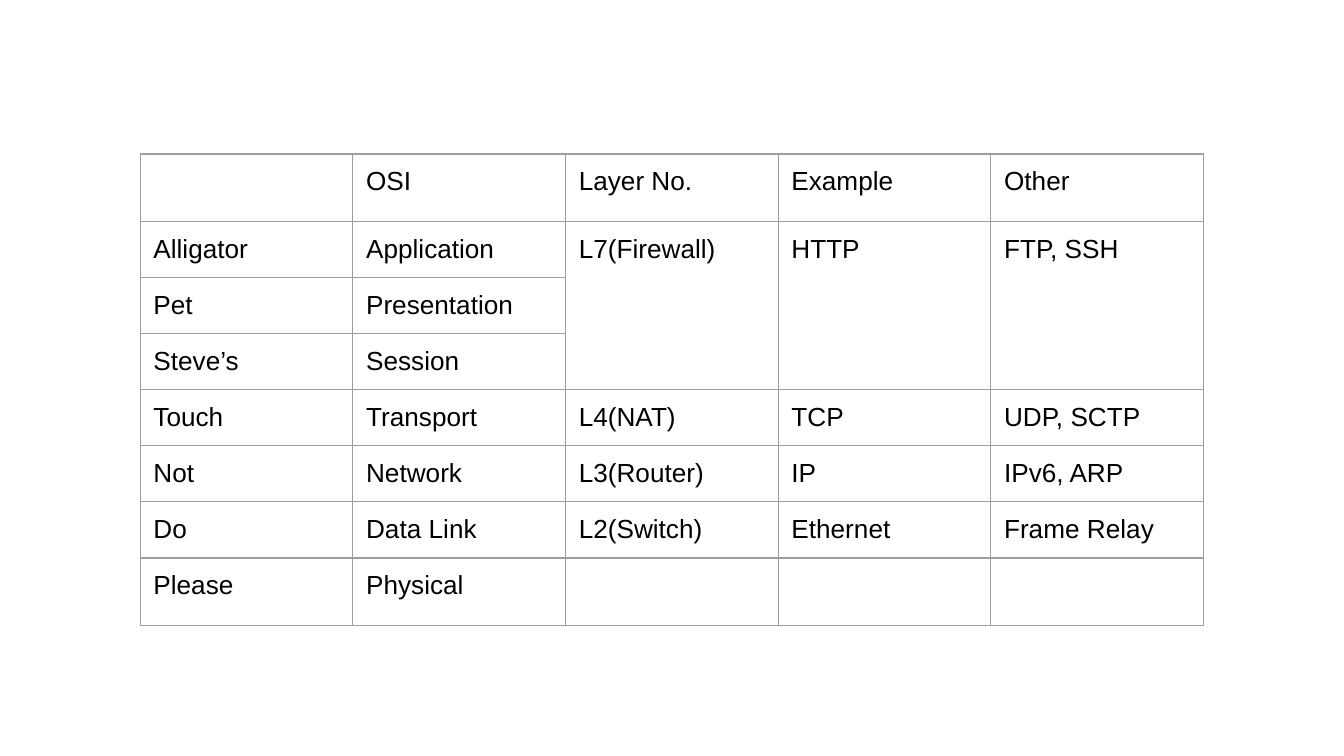
"""Build a slide with a table of the OSI layers and their protocols."""
from lxml import etree
from pptx import Presentation
from pptx.dml.color import RGBColor
from pptx.oxml import ns
from pptx.util import Cm, Pt

COLOURS = {"text": "000000", "border": "9E9E9E"}
ROWS = [
    ("", "OSI", "Layer No.", "Example", "Other"),
    ("Alligator", "Application", "L7(Firewall)", "HTTP", "FTP, SSH"),
    ("Pet", "Presentation", "", "", ""),
    ("Steve’s", "Session", "", "", ""),
    ("Touch", "Transport", "L4(NAT)", "TCP", "UDP, SCTP"),
    ("Not", "Network", "L3(Router)", "IP", "IPv6, ARP"),
    ("Do", "Data Link", "L2(Switch)", "Ethernet", "Frame Relay"),
    ("Please", "Physical", "", "", ""),
]
MERGED_ROWS = (1, 3)
MERGED_COLUMNS = (2, 3, 4)
LEFT, TOP = Cm(2.65), Cm(2.91)
COLUMN_WIDTH = Cm(4.02)
ROW_HEIGHT, OUTER_ROW_HEIGHT = Cm(1.06), Cm(1.21)
INSET = Cm(0.25)


def write(cell, text, font="Arial", size=14, colour="text"):
    if text:
        span = cell.text_frame.paragraphs[0].add_run()
        span.text = text
        span.font.name = font
        span.font.size = Pt(size)
        span.font.color.rgb = RGBColor.from_string(COLOURS[colour])


def draw_borders(cell, width=0.75, colour="border"):
    properties = cell._tc.get_or_add_tcPr()
    for index, side in enumerate(("lnL", "lnR", "lnT", "lnB")):
        line = etree.Element(ns.qn(f"a:{side}"), w=str(Pt(width)))
        fill = etree.SubElement(line, ns.qn("a:solidFill"))
        etree.SubElement(fill, ns.qn("a:srgbClr"), val=COLOURS[colour])
        properties.insert(index, line)


deck = Presentation()
deck.slide_width, deck.slide_height = Cm(25.4), Cm(14.29)
page = deck.slides.add_slide(deck.slide_layouts[6])

heights = [OUTER_ROW_HEIGHT, *[ROW_HEIGHT] * (len(ROWS) - 2), OUTER_ROW_HEIGHT]
column_count = len(ROWS[0])
table = page.shapes.add_table(
    len(ROWS), column_count, LEFT, TOP, COLUMN_WIDTH * column_count, sum(heights)
).table
table.first_row = table.horz_banding = False

for column in table.columns:
    column.width = COLUMN_WIDTH
for row, height, texts in zip(table.rows, heights, ROWS):
    row.height = height
    for cell, text in zip(row.cells, texts):
        cell.margin_left = cell.margin_right = INSET
        cell.margin_top = cell.margin_bottom = INSET
        cell.fill.background()
        draw_borders(cell)
        write(cell, text)

first, last = MERGED_ROWS
for column in MERGED_COLUMNS:
    table.cell(first, column).merge(table.cell(last, column))

deck.save("out.pptx")
